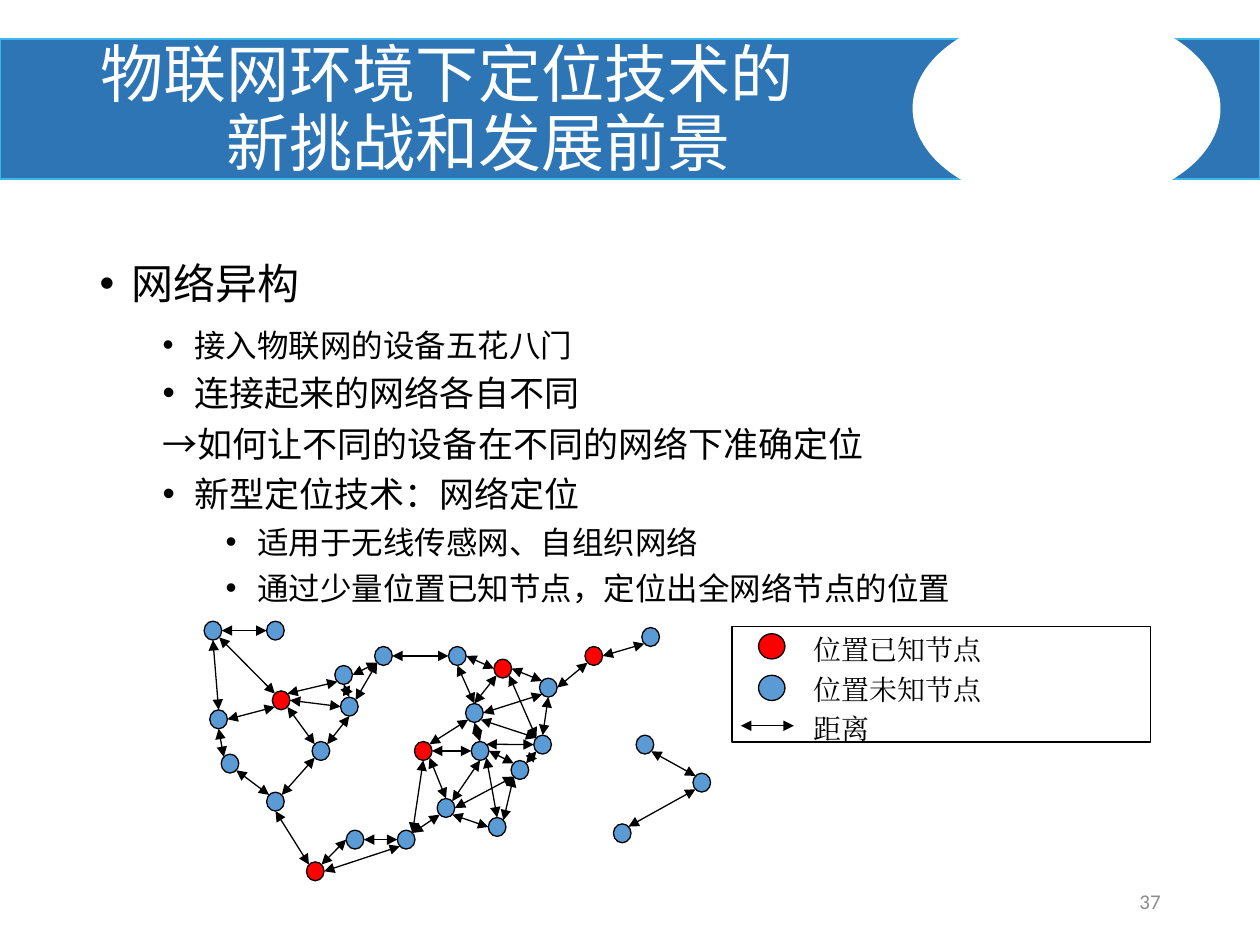
from dataclasses import dataclass

from lxml.etree import SubElement
from pptx import Presentation
from pptx.dml.color import RGBColor
from pptx.enum.shapes import MSO_CONNECTOR, MSO_SHAPE
from pptx.enum.text import MSO_ANCHOR, MSO_AUTO_SIZE, PP_ALIGN
from pptx.oxml.ns import qn
from pptx.util import Inches, Pt

WIDTH, HEIGHT = 10, 7.5
CJK, SERIF, SANS = "Noto Sans CJK SC", "Times New Roman", "Calibri"
BLACK, WHITE, RED, BLUE = "000000", "FFFFFF", "FF0000", "5B9BD5"

# The network lies on a grid of 86 columns by 38 rows.
NET_LEFT, NET_TOP = 1.62, 4.93
COLUMN, ROW = 3.88 / 86, 1.91 / 38
NODE_W, NODE_H = 0.14, 0.15
DIAGONAL = 0.5 ** 0.5
COMPASS = {
    "N": (0, -1), "S": (0, 1), "W": (-1, 0), "E": (1, 0),
    "NW": (-DIAGONAL, -DIAGONAL), "NE": (DIAGONAL, -DIAGONAL),
    "SW": (-DIAGONAL, DIAGONAL), "SE": (DIAGONAL, DIAGONAL),
}


@dataclass(frozen=True)
class Node:
    """A network node at a grid column and row."""
    column: int
    row: int
    known: bool = False

    def corner(self) -> tuple[float, float]:
        """Left and top of the node in inches."""
        return NET_LEFT + self.column * COLUMN, NET_TOP + self.row * ROW

    def edge(self, side: str) -> tuple[float, float]:
        """Point of the outline in a compass direction."""
        left, top = self.corner()
        dx, dy = COMPASS[side]
        return left + NODE_W / 2 * (1 + dx), top + NODE_H / 2 * (1 + dy)


@dataclass(frozen=True)
class Point:
    """A line of the body list."""
    text: str
    size: int
    level: int
    margin: float
    before: int = 5
    bullet: bool = True


POINTS = [
    Point("网络异构", 24, 1, 0.25, 10),
    Point("接入物联网的设备五花八门", 18, 2, 0.75, 10),
    Point("连接起来的网络各自不同", 20, 1, 0.75),
    Point("→如何让不同的设备在不同的网络下准确定位", 20, 1, 0.5, bullet=False),
    Point("新型定位技术：网络定位", 20, 1, 0.75),
    Point("适用于无线传感网、自组织网络", 18, 2, 1.25),
    Point("通过少量位置已知节点，定位出全网络节点的位置", 18, 2, 1.25),
]
NODES = {
    "a": Node(1, 14), "b": Node(0, 0), "c": Node(11, 0), "d": Node(23, 7),
    "e": Node(3, 21), "f": Node(12, 11, True), "g": Node(37, 19, True),
    "h": Node(18, 38, True), "i": Node(30, 4), "j": Node(11, 27),
    "k": Node(25, 33), "l": Node(47, 19), "m": Node(24, 12), "n": Node(43, 4),
    "o": Node(34, 33), "p": Node(19, 19), "q": Node(46, 13), "r": Node(41, 28),
    "s": Node(50, 31), "t": Node(58, 18), "u": Node(54, 22),
    "v": Node(67, 4, True), "w": Node(59, 9), "x": Node(77, 1),
    "y": Node(51, 6, True), "z": Node(72, 32), "A": Node(76, 18),
    "B": Node(86, 24),
}
# Each distance joins two nodes: node letter and side, twice.
DISTANCES = """
bE-cW bS-aN bSE-fNW aS-eNW aE-fSW fSE-pNW pSW-jNE eSE-jNW pNE-mS fE-mW dS-mN
fNE-dSW dE-iSW iE-nW mNE-iSW nE-yW ySW-qN nS-qN yE-wNW qE-wSW qS-lN qSW-gNE
lS-rNE gSE-rN gE-lW rSW-oNE kE-oW hNE-kW jS-hNW lE-uNW rSE-sW lSE-sN rE-uSW
uSW-sNE lNE-tW qSE-tNW wS-tN uNE-tSW wE-vSW vE-xSW ASE-BNW zNE-BSW hE-oSW
gS-oNE ySE-tNW
""".split()


def color(code: str) -> RGBColor:
    """Turn a hex string into a colour."""
    return RGBColor.from_string(code)


def place(shape, left: float, top: float, width: float, height: float) -> None:
    """Move and size a shape, in inches."""
    shape.left, shape.top = Inches(left), Inches(top)
    shape.width, shape.height = Inches(width), Inches(height)


def add_run(paragraph, text: str, size: int, code: str, font: str) -> None:
    """Add one formatted run."""
    run = paragraph.add_run()
    run.text = text
    run.font.size = Pt(size)
    run.font.color.rgb = color(code)
    run.font.name = font
    SubElement(run.font._element, qn("a:ea"), typeface=font)


def add_figure(slide, kind, box: tuple, fill: str | None, line: str, weight: float = 0.75):
    """Draw a preset shape."""
    figure = slide.shapes.add_shape(kind, *map(Inches, box))
    figure.shadow.inherit = False
    if fill:
        figure.fill.solid()
        figure.fill.fore_color.rgb = color(fill)
    else:
        figure.fill.background()
    figure.line.color.rgb = color(line)
    figure.line.width = Pt(weight)
    return figure


def add_distance(slide, start: tuple, end: tuple) -> None:
    """Draw a line with an arrowhead at both ends."""
    distance = slide.shapes.add_connector(
        MSO_CONNECTOR.STRAIGHT, *map(Inches, start + end))
    distance.line.color.rgb = color(BLACK)
    distance.line.width = Pt(0.75)
    line = distance.line._get_or_add_ln()
    for tip in ("a:headEnd", "a:tailEnd"):
        SubElement(line, qn(tip), type="triangle")
    SubElement(distance.element.spPr, qn("a:effectLst"))


def add_label(slide, box: tuple, text: str, size: int, code: str, font: str):
    """Add a one-line text box and return it."""
    label = slide.shapes.add_textbox(*map(Inches, box))
    label.text_frame.word_wrap = False
    add_run(label.text_frame.paragraphs[0], text, size, code, font)
    return label


def add_header(slide) -> None:
    """Draw the banner behind the title and write the title."""
    title = slide.shapes.title
    banner = add_figure(slide, MSO_SHAPE.RECTANGLE, (0, 0.31, WIDTH, 1.11),
                        "2E75B6", "3BB8E6", 1)
    cutout = add_figure(slide, MSO_SHAPE.OVAL, (7.25, 0.09, 2.43, 1.54), WHITE, WHITE, 1)
    for backdrop in (banner, cutout):
        title.element.addprevious(backdrop.element)
    place(title, 0.7, 0.33, 6.36, 1.09)
    frame = title.text_frame
    frame.auto_size = MSO_AUTO_SIZE.NONE
    frame.vertical_anchor = MSO_ANCHOR.MIDDLE
    heading = frame.paragraphs[0]
    heading.alignment = PP_ALIGN.LEFT
    heading.line_spacing = Pt(39.4)
    add_run(heading, "物联网环境下定位技术的", 36, WHITE, CJK)
    heading.add_line_break()
    add_run(heading, "\t\t新挑战和发展前景", 36, WHITE, CJK)


def add_points(slide) -> None:
    """Fill the body placeholder with the list."""
    body = slide.placeholders[1]
    place(body, 0.69, 2, 8.62, 4.76)
    frame = body.text_frame
    frame.auto_size = MSO_AUTO_SIZE.NONE
    for index, point in enumerate(POINTS):
        paragraph = frame.add_paragraph() if index else frame.paragraphs[0]
        paragraph.level = point.level
        paragraph.line_spacing = Pt(round(point.size * 1.19, 1))
        paragraph.space_before = Pt(point.before)
        add_run(paragraph, point.text, point.size, BLACK, CJK)
        properties = paragraph._p.get_or_add_pPr()
        properties.set("marL", str(Inches(point.margin)))
        properties.set("indent", str(Inches(-0.25 if point.bullet else 0)))
        if point.bullet:
            SubElement(properties, qn("a:buFont"), typeface="Arial")
            SubElement(properties, qn("a:buChar"), char="•")
        else:
            SubElement(properties, qn("a:buNone"))


def add_network(slide) -> None:
    """Draw the nodes and the distances between them."""
    for node in NODES.values():
        add_figure(slide, MSO_SHAPE.OVAL, (*node.corner(), NODE_W, NODE_H),
                   RED if node.known else BLUE, BLACK)
    for distance in DISTANCES:
        start, end = (NODES[tip[0]].edge(tip[1:]) for tip in distance.split("-"))
        add_distance(slide, start, end)


def add_legend(slide) -> None:
    """Draw the legend with its frame."""
    for top, fill in ((5.03, RED), (5.36, BLUE)):
        add_figure(slide, MSO_SHAPE.OVAL, (6.02, top, 0.21, 0.2), fill, BLACK)
    add_distance(slide, (5.88, 5.76), (6.3, 5.76))
    for index, meaning in enumerate(("位置已知节点", "位置未知节点", "距离")):
        add_label(slide, (6.36, 4.97 + index * 0.315, 1.55, 0.37),
                  meaning, 16, BLACK, SERIF)
    add_figure(slide, MSO_SHAPE.RECTANGLE, (5.81, 4.97, 3.32, 0.92), None, BLACK)


def main() -> None:
    """Build and save the slide."""
    deck = Presentation()
    deck.slide_width, deck.slide_height = Inches(WIDTH), Inches(HEIGHT)
    slide = deck.slides.add_slide(deck.slide_layouts[1])
    add_header(slide)
    add_points(slide)
    number = add_label(slide, (7.06, 6.95, 2.25, 0.4), "37", 12, "8C8C8C", SANS)
    number.text_frame.word_wrap = True
    number.text_frame.vertical_anchor = MSO_ANCHOR.MIDDLE
    number.text_frame.paragraphs[0].alignment = PP_ALIGN.RIGHT
    add_network(slide)
    add_legend(slide)
    deck.save("out.pptx")


main()
